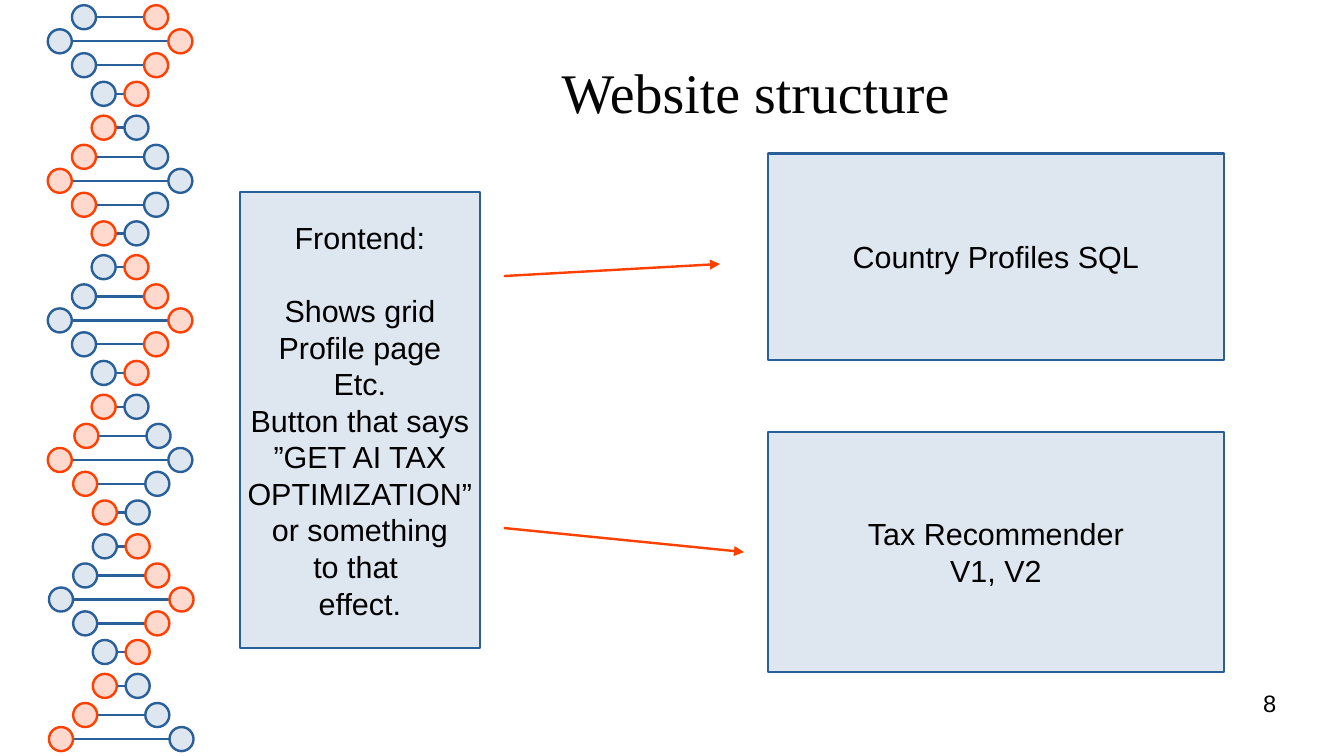
from lxml.etree import SubElement
from pptx import Presentation
from pptx.dml.color import RGBColor
from pptx.enum.shapes import MSO_CONNECTOR, MSO_SHAPE
from pptx.enum.text import MSO_ANCHOR, PP_ALIGN
from pptx.oxml.ns import qn
from pptx.util import Pt

# Content: places are left, top, width, height in points
TITLE = ("Website structure", (127.4, 17.3, 637.9, 73.4))
NUMBER = ("8", (568.8, 406.8, 185, 31))
BOXES = [
    (["Frontend:", "Shows grid", "Profile page", "Etc.", "Button that says",
      "”GET AI TAX", "OPTIMIZATION”", "or something", "to that ", "effect."],
     (141.7, 113.4, 141.7, 269.3)),
    (["Country Profiles SQL"], (453.5, 90.7, 269.3, 121.9)),
    (["Tax Recommender", "V1, V2"], (453.5, 255.1, 269.3, 141.7)),
]
ARROWS = [(297.6, 163, 425.2, 155.9), (297.6, 311.8, 439.4, 326)]

# Helix: five rungs make a half turn, as (drop from its top, reach from axis)
RUNGS = [(0, 21.3), (14.2, 35.6), (28.3, 21.3), (45.2, 9.7), (65.2, 9.7)]
COUNT, AXIS, TOP, TURN, BALL = 27, 70.9, 10.2, 82.4, 14.2
SHIFT = {15: 1.4, 16: 0}  # rungs set apart from the rest


class Theme:
    blue, pale = RGBColor(0x2A, 0x60, 0x99), RGBColor(0xDE, 0xE6, 0xEF)
    red, peach = RGBColor(0xFF, 0x40, 0x00), RGBColor(0xFF, 0xD8, 0xCE)
    ink, black = RGBColor(5, 5, 5), RGBColor(0, 0, 0)
    serif, sans = "Times New Roman", "Arial"
    head, body, small = 33, 18, 14
    pitch, line = 21.6, 1.42


deck = Presentation()
deck.slide_width, deck.slide_height = Pt(793.7), Pt(446.4)
slide = deck.slides.add_slide(deck.slide_layouts[6])
shapes = slide.shapes


def add_line(ends, color, arrow=False):
    link = shapes.add_connector(MSO_CONNECTOR.STRAIGHT, *map(Pt, ends))
    link.line.color.rgb = color
    link.line.width = Pt(Theme.line)
    props = link.element.spPr
    if arrow:
        SubElement(props.find(qn("a:ln")), qn("a:tailEnd"), type="triangle")
    SubElement(props, qn("a:effectLst"))


def add_form(kind, place, fill, edge):
    form = shapes.add_shape(kind, *map(Pt, place))
    form.shadow.inherit = False
    form.fill.solid()
    form.fill.fore_color.rgb = fill
    form.line.color.rgb = edge
    form.line.width = Pt(Theme.line)
    return form


def style(part, font, size, color, align):
    part.alignment = align
    for run in part.runs:
        run.font.name, run.font.size = font, Pt(size)
        run.font.color.rgb = color


def add_text(text, place, font, size, color, align, anchor):
    frame = shapes.add_textbox(*map(Pt, place)).text_frame
    frame.word_wrap = True
    frame.margin_left = frame.margin_right = 0
    frame.margin_top = frame.margin_bottom = 0
    frame.vertical_anchor = anchor
    frame.text = text
    style(frame.paragraphs[0], font, size, color, align)


# Helix: rungs first, balls on top
helix = []
for i in range(COUNT):
    turn, step = divmod(i, len(RUNGS))
    drop, reach = RUNGS[step]
    mid = AXIS + SHIFT.get(i, 0.7 if i > 16 else 0)
    helix.append((mid - reach, mid + reach, TOP + turn * TURN + drop))

for left, right, y in helix:
    add_line((left + BALL / 2, y, right - BALL / 2, y), Theme.blue)

for i, (left, right, y) in enumerate(helix):
    pairs = [(Theme.pale, Theme.blue), (Theme.peach, Theme.red)]
    if (i + 1) // len(RUNGS) % 2:
        pairs.reverse()
    for x, (fill, edge) in zip((left, right), pairs):
        place = (x - BALL / 2, y - BALL / 2, BALL, BALL)
        add_form(MSO_SHAPE.OVAL, place, fill, edge)

# Title
add_text(*TITLE, Theme.serif, Theme.head, Theme.ink,
         PP_ALIGN.CENTER, MSO_ANCHOR.MIDDLE)

# Boxes
for lines, place in BOXES:
    box = add_form(MSO_SHAPE.RECTANGLE, place, Theme.pale, Theme.blue)
    frame = box.text_frame
    frame.word_wrap = False
    frame.vertical_anchor = MSO_ANCHOR.MIDDLE
    frame.text = "\n".join(lines)
    for part in frame.paragraphs:
        style(part, Theme.sans, Theme.body, Theme.black, PP_ALIGN.CENTER)
        part.line_spacing = Pt(Theme.pitch)
        if part.text.endswith(":"):
            part.space_after = Pt(Theme.pitch)

# Arrows
for ends in ARROWS:
    add_line(ends, Theme.red, arrow=True)

# Slide number
add_text(*NUMBER, Theme.sans, Theme.small, Theme.black,
         PP_ALIGN.RIGHT, MSO_ANCHOR.TOP)

deck.save("out.pptx")
